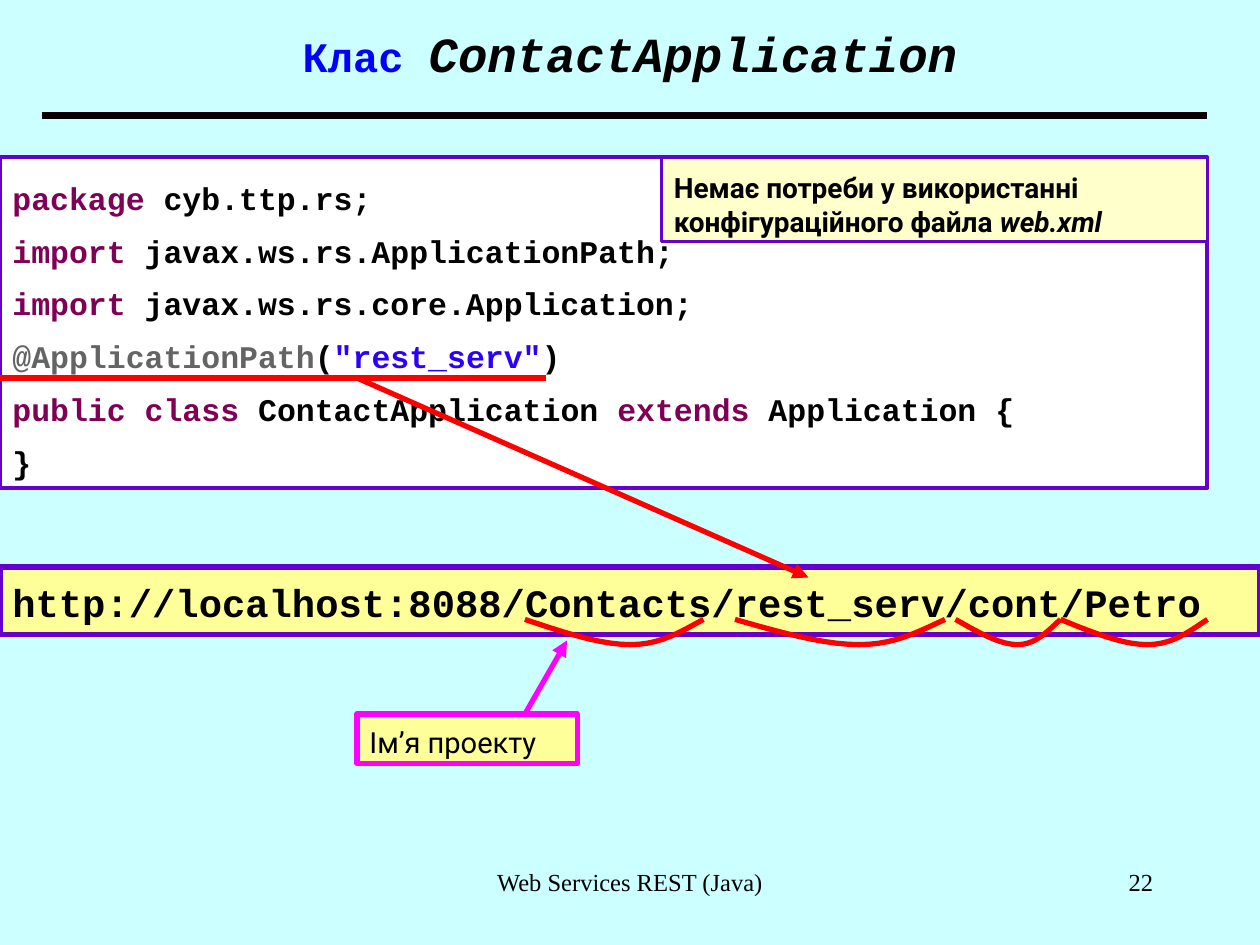
import pptx
import pptx.dml.color
import pptx.enum.shapes
import pptx.enum.text
import pptx.oxml
import pptx.oxml.ns
import pptx.util

COLORS = {
    "background": "CCFFFF", "black": "000000", "white": "FFFFFF",
    "blue": "0000FF", "purple": "6600CC", "red": "FF0000",
    "magenta": "FF00FF", "yellow": "FFFF99", "cream": "FFFFCC",
    "keyword": "7F0055", "annotation": "646464", "string": "2A00FF",
}
MONO, SANS, SERIF = "Courier New", "Roboto", "Times New Roman"
ALIGN = pptx.enum.text.PP_ALIGN
ANCHOR = pptx.enum.text.MSO_ANCHOR


class SlideBuilder:
    CELL = 1 / 12

    def __init__(self, prs):
        self.s = prs.slides.add_slide(prs.slide_layouts[6])
        self.paint(self.s.background.fill, "background")

    def grid(self, *cells):
        return [pptx.util.Inches(n * self.CELL) for n in cells]

    def paint(self, fill, color):
        fill.solid()
        fill.fore_color.rgb = pptx.dml.color.RGBColor.from_string(COLORS[color])

    def outline(self, sp, color, width):
        self.paint(sp.line.fill, color)
        sp.line.width = pptx.util.Pt(width)

    def style(self, font, size=None, color=None, name=None, bold=None, italic=None):
        if size:
            font.size = pptx.util.Pt(size)
        if name:
            font.name = name
        if color:
            self.paint(font.fill, color)
        if bold is not None:
            font.bold = bold
        if italic is not None:
            font.italic = italic

    def set_text(self, sp, paragraphs, font, align=ALIGN.LEFT, anchor=ANCHOR.TOP,
                 spacing=1.0, inset=0):
        tf = sp.text_frame
        tf.word_wrap = True
        tf.vertical_anchor = anchor
        tf.margin_top = pptx.util.Inches(0.05) + pptx.util.Pt(inset)
        for i, runs in enumerate(paragraphs):
            p = tf.paragraphs[0] if i == 0 else tf.add_paragraph()
            p.alignment = align
            p.line_spacing = spacing
            self.style(p.font, **font)
            for text, changes in runs:
                r = p.add_run()
                r.text = text
                self.style(r.font, **changes)

    def text(self, cells, paragraphs, font, **layout):
        sp = self.s.shapes.add_textbox(*self.grid(*cells))
        self.set_text(sp, paragraphs, font, **layout)

    def box(self, cells, fill, line, width, paragraphs, font, **layout):
        kind = pptx.enum.shapes.MSO_SHAPE.RECTANGLE
        sp = self.s.shapes.add_shape(kind, *self.grid(*cells))
        sp.shadow.inherit = False
        self.paint(sp.fill, fill)
        self.outline(sp, line, width)
        self.set_text(sp, paragraphs, font, **layout)

    def line(self, start, end, color, width, arrow=False):
        kind = pptx.enum.shapes.MSO_CONNECTOR.STRAIGHT
        sp = self.s.shapes.add_connector(kind, *self.grid(*start, *end))
        self.outline(sp, color, width)
        namespace = pptx.oxml.ns.nsdecls("a")
        properties = sp._element.spPr
        if arrow:
            properties.find(pptx.oxml.ns.qn("a:ln")).append(
                pptx.oxml.parse_xml(f'<a:tailEnd {namespace} type="triangle"/>'))
        properties.append(pptx.oxml.parse_xml(f"<a:effectLst {namespace}/>"))

    def arc(self, left, right, top, depth, color, width, steps=10):
        halves = [
            ((0, 0), (0.21, 0.5), (0.42, 1), (0.59, 1)),
            ((0.59, 1), (0.76, 1), (0.87, 0.5), (1, 0)),
        ]
        points = []
        for half in halves:
            for k in range(1, steps + 1):
                t = k / steps
                weights = ((1 - t) ** 3, 3 * t * (1 - t) ** 2, 3 * t * t * (1 - t), t ** 3)
                x, y = (sum(w * c for w, c in zip(weights, axis)) for axis in zip(*half))
                points.append(self.grid(left + x * (right - left), top + y * depth))
        builder = self.s.shapes.build_freeform(*self.grid(left, top))
        builder.add_line_segments(points, close=False)
        sp = builder.convert_to_shape()
        sp.shadow.inherit = False
        sp.fill.background()
        self.outline(sp, color, width)


def main():
    prs = pptx.Presentation()
    prs.slide_width, prs.slide_height = pptx.util.Inches(10), pptx.util.Inches(7.5)
    b = SlideBuilder(prs)

    b.text((3, 0, 114, 10),
           [[("Клас ", dict(size=24, color="blue")),
             ("ContactApplication", dict(size=28, color="black", italic=True))]],
           dict(name=MONO, bold=True), align=ALIGN.CENTER, anchor=ANCHOR.MIDDLE)
    b.line((4, 11), (115, 11), "black", 4.5)

    keyword = dict(color="keyword")
    code = [
        [("package", keyword), (" cyb.ttp.rs;", {})],
        [("import", keyword), (" javax.ws.rs.ApplicationPath;", {})],
        [("import", keyword), (" javax.ws.rs.core.Application;", {})],
        [("@ApplicationPath", dict(color="annotation")), ("(", {}),
         ('"rest_serv"', dict(color="string")), (")", {})],
        [("public class", keyword), (" ContactApplication ", {}),
         ("extends", keyword), (" Application {", {})],
        [("}", {})],
    ]
    b.box((0, 15, 115, 31.5), "white", "purple", 2.25, code,
          dict(size=18, color="black", name=MONO, bold=True), spacing=1.4)
    b.line((0, 36), (52, 36), "red", 3)

    b.box((0, 54, 120, 6.4), "yellow", "purple", 3,
          [[("http://localhost:8088/Contacts/rest_serv/cont/Petro", {})]],
          dict(size=22.2, color="black", name=MONO, bold=True), spacing=0.9, inset=6)
    for left, right in ((50, 67), (70, 90), (91, 101), (101, 115)):
        b.arc(left, right, 59, 2.4, "red", 3)
    b.line((34, 36), (77, 55), "red", 3, arrow=True)

    b.box((63, 15, 52, 8), "cream", "purple", 2,
          [[("Немає потреби у використанні конфігураційного файла ", {}),
            ("web.xml", dict(italic=True))]],
          dict(size=16, color="black", name=SANS, bold=True), inset=4)
    b.box((34, 68, 21, 4.7), "yellow", "magenta", 3, [[("Ім’я проекту", {})]],
          dict(size=16.6, color="black", name=SANS), spacing=0.9, inset=4.5)
    b.line((50, 68), (54, 61), "magenta", 3, arrow=True)

    footer = dict(size=14, color="black", name=SERIF)
    b.text((41, 82, 38, 6), [[("Web Services REST (Java)", {})]], footer, align=ALIGN.CENTER)
    b.text((86, 82, 25, 6), [[("22", {})]], footer, align=ALIGN.RIGHT)

    prs.save("out.pptx")


if __name__ == "__main__":
    main()
